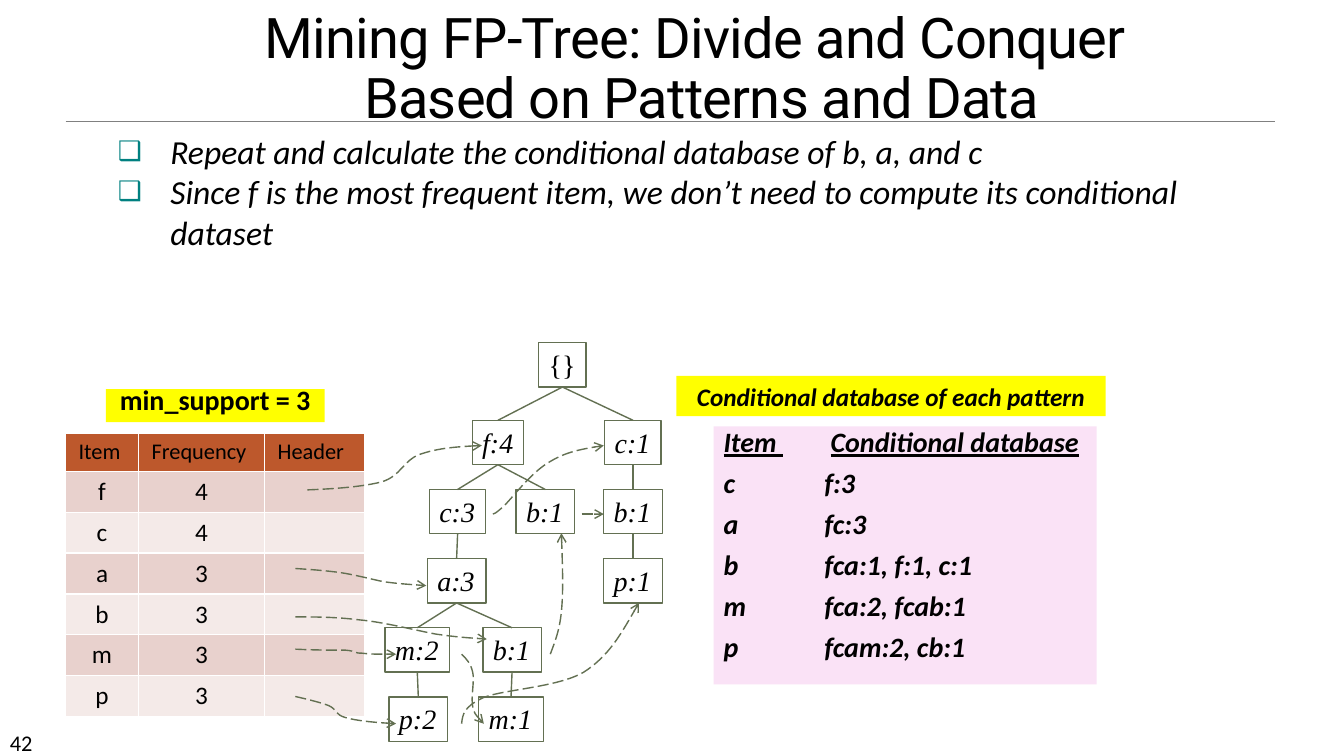
"""Builds the slide on mining an FP-tree by divide and conquer."""
from lxml.etree import SubElement
from pptx import Presentation
from pptx.dml.color import RGBColor
from pptx.enum.dml import MSO_LINE
from pptx.enum.shapes import MSO_CONNECTOR, MSO_SHAPE
from pptx.enum.text import MSO_ANCHOR, MSO_AUTO_SIZE, PP_ALIGN
from pptx.oxml.ns import qn
from pptx.util import Inches, Pt

COLORS = {"text": "000000", "rule": "808080", "bullet": "008080", "tree": "637052",
          "yellow": "FFFF00", "pink": "FAE2F6", "head": "BD582C",
          "odd": "E8D1CD", "even": "F4EAE8", "border": "FFFFFF"}

prs = Presentation()
prs.slide_height = Inches(7.5)
prs.slide_width = prs.slide_height * 16 // 9
grid = prs.slide_height // 75
s = prs.slides.add_slide(prs.slide_layouts[1])


def style(tf, size, font="Calibri", bold=False, italic=False, align=PP_ALIGN.LEFT):
    """Format every run of a text frame."""
    for p in tf.paragraphs:
        p.alignment = align
        for r in p.runs:
            r.font.size, r.font.name = Pt(size), font
            r.font.bold, r.font.italic = bold, italic
            r.font.color.rgb = RGBColor.from_string(COLORS["text"])


def box(at, text, fill=None):
    """Add a rectangle placed in grid units."""
    sp = s.shapes.add_shape(MSO_SHAPE.RECTANGLE, *[int(v * grid) for v in at])
    sp.shadow.inherit = False
    sp.line.fill.background()
    sp.fill.background()
    if fill:
        sp.fill.solid()
        sp.fill.fore_color.rgb = RGBColor.from_string(COLORS[fill])
    sp.text_frame.text = text
    sp.text_frame.vertical_anchor = MSO_ANCHOR.TOP
    return sp


title, body = s.placeholders
places = [(title, (15.2, -0.9, 108.8, 14.4)), (body, (6.5, 12.5, 116.7, 21.5))]
for sp, at in places:
    sp.left, sp.top, sp.width, sp.height = [int(v * grid) for v in at]

tf = title.text_frame
tf.text = "Mining FP-Tree: Divide and Conquer \vBased on Patterns and Data"
tf.auto_size, tf.vertical_anchor = MSO_AUTO_SIZE.NONE, MSO_ANCHOR.BOTTOM
style(tf, 40, "Roboto", align=PP_ALIGN.CENTER)
tf.paragraphs[0].line_spacing = 0.9
for r in tf.paragraphs[0].runs:
    r.font._element.set("spc", "-50")

tf = body.text_frame
tf.text = ("Repeat and calculate the conditional database of b, a, and c\n"
           "Since f is the most frequent item, we don’t need to compute its conditional dataset")
tf.auto_size = MSO_AUTO_SIZE.NONE
for p in tf.paragraphs:
    p.level = 1
    pPr = p._p.get_or_add_pPr()
    pPr.set("marL", str(int(9.4 * grid)))
    pPr.set("indent", str(int(-5.2 * grid)))
    SubElement(SubElement(pPr, qn("a:buClr")), qn("a:srgbClr")).set("val", COLORS["bullet"])
    SubElement(pPr, qn("a:buSzPct")).set("val", "80000")
    SubElement(pPr, qn("a:buChar")).set("char", "❑")
    p.space_before = Pt(0)
style(tf, 24, italic=True)

number = s.shapes.add_textbox(0, int(71.8 * grid), int(11.7 * grid), 3 * grid)
number.text_frame.word_wrap = True
number.text_frame.text = "42"
style(number.text_frame, 16)

rows = [("Item", "Frequency", "Header"), ("f", "4", ""), ("c", "4", ""), ("a", "3", ""),
        ("b", "3", ""), ("m", "3", ""), ("p", "3", "")]
table = s.shapes.add_table(len(rows), 3, int(6.5 * grid), 43 * grid,
                           int(29.7 * grid), int(28.1 * grid)).table
table.first_row = table.horz_banding = False
for col, width in zip(table.columns, (7.25, 12.5, 9.9)):
    col.width = int(width * grid)
for i, row in enumerate(rows):
    table.rows[i].height = int((4.06 if i else 3.75) * grid)
    for j, text in enumerate(row):
        cell = table.cell(i, j)
        cell.text = text
        cell.margin_left = cell.margin_right = int(1.3 * grid)
        tcPr = cell._tc.get_or_add_tcPr()
        for side in ("lnL", "lnR", "lnT", "lnB"):
            ln = SubElement(tcPr, qn("a:" + side), w=str(Pt(1)))
            SubElement(SubElement(ln, qn("a:solidFill")), qn("a:srgbClr")).set("val", COLORS["border"])
        cell.fill.solid()
        fill = "head" if i == 0 else "odd" if i % 2 else "even"
        cell.fill.fore_color.rgb = RGBColor.from_string(COLORS[fill])
        style(cell.text_frame, 18 if i else 16, align=PP_ALIGN.CENTER if i else PP_ALIGN.LEFT)

patterns = box((70.8, 42.3, 38, 25.6), "Item \nc\tf:3\na\tfc:3\nb\tfca:1, f:1, c:1\n"
               "m\tfca:2, fcab:1\np\tfcam:2, cb:1", "pink")
p = patterns.text_frame.paragraphs[0]
p.runs[0].font.underline = True
for text, underline in (("\t ", False), ("Conditional database", True)):
    r = p.add_run()
    r.text, r.font.underline = text, underline
for i, p in enumerate(patterns.text_frame.paragraphs):
    tabs = SubElement(p._p.get_or_add_pPr(), qn("a:tabLst"))
    SubElement(tabs, qn("a:tab"), pos=str(10 * grid), algn="l")
    p.line_spacing = 0.8
    p.space_before = Pt(10 if i else 0)
style(patterns.text_frame, 20, bold=True, italic=True)

heading = box((67.1, 37.3, 42.6, 4), "Conditional database of each pattern", "yellow")
style(heading.text_frame, 18, bold=True, italic=True, align=PP_ALIGN.CENTER)
support = box((10.5, 38.6, 21.7, 3.3), "min_support = 3", "yellow")
support.text_frame.paragraphs[0].line_spacing = 0.6
style(support.text_frame, 20, bold=True, align=PP_ALIGN.CENTER)

widths = {"{": 4.7, "f": 5.1, "c": 5.6, "a": 5.8, "b": 5.8, "p": 5.8, "m": 6.4}
tree = {"root": ("{}", 55.8, 0), "f": ("f:4", 49.4, 1), "c right": ("c:1", 62.8, 1),
        "c": ("c:3", 45.4, 2), "b": ("b:1", 54.1, 2), "b right": ("b:1", 62.8, 2),
        "a": ("a:3", 45.3, 3), "p right": ("p:1", 62.8, 3), "m": ("m:2", 41.4, 4),
        "b low": ("b:1", 50.8, 4), "p": ("p:2", 41.5, 5), "m low": ("m:1", 50.7, 5)}
nodes = {}
for name, (text, center, level) in tree.items():
    width = widths[text[0]]
    top = 41.7 + 6.86 * (level - 1) if level else 34
    sp = nodes[name] = box((center - width / 2, top, width, 4.4), text)
    sp.line.color.rgb = RGBColor.from_string(COLORS["tree"])
    sp.line.width = Pt(1)
    sp.text_frame.word_wrap = False
    style(sp.text_frame, 20, "Times New Roman", italic=level > 0)

rule = s.shapes.add_connector(MSO_CONNECTOR.STRAIGHT, int(6.5 * grid), 12 * grid,
                              int(126.5 * grid), 12 * grid)
lines = [(rule, "rule", 0.5, False)]
edges = [("root", "f"), ("root", "c right"), ("f", "c"), ("f", "b"), ("c right", "b right"),
         ("b right", "p right"), ("c", "a"), ("a", "m"), ("a", "b low"), ("m", "p"),
         ("b low", "m low")]
for parent, child in edges:
    edge = s.shapes.add_connector(MSO_CONNECTOR.STRAIGHT, 0, 0, 0, 0)
    edge.begin_connect(nodes[parent], 2)
    edge.end_connect(nodes[child], 0)
    lines.append((edge, "tree", 1, False))

link = s.shapes.add_connector(MSO_CONNECTOR.STRAIGHT, int(57.7 * grid), 51 * grid,
                              int(59.9 * grid), 51 * grid)
lines.append((link, "tree", 1, True))

curves = [
    [(30.5, 48.6), (33.2, 48.5), (36, 48.3), (37.9, 47.8), (39.8, 47.2), (40, 45.7),
     (41.6, 45.1), (43.3, 44.5), (45.5, 44.3), (47.8, 44.2)],
    [(48.9, 51), (49, 51), (49.1, 51), (50, 50.2), (50.9, 49.3), (52.7, 46.9),
     (54.4, 45.9), (56, 44.9), (57.9, 44.5), (59.9, 44.2)],
    [(29.3, 56.4), (30.8, 56.5), (32.2, 56.6), (33.7, 56.8), (35.1, 57), (36.6, 57.4),
     (38, 57.7), (39.4, 57.9), (40.9, 58), (42.3, 58.1)],
    [(29.3, 61.2), (31.3, 61.2), (33.3, 61.2), (35.7, 61.5), (38, 61.7), (41.1, 62.5),
     (43.2, 62.9), (45.3, 63.2), (46.8, 63.3), (48.3, 63.4)],
    [(54.6, 64.9), (55, 63.8), (55.5, 62.7), (55.7, 60.7), (55.9, 58.7), (55.8, 55.8),
     (55.7, 52.9)],
    [(29.3, 64.4), (31.3, 64.5), (33.2, 64.5), (34.3, 64.5), (35.4, 64.6), (35.1, 64.8),
     (35.9, 64.8), (36.8, 64.9), (38, 64.9), (39.3, 64.9)],
    [(45.8, 64.9), (46.3, 65.4), (46.7, 65.8), (46.9, 66.7), (47.1, 67.5), (46.7, 69.2),
     (46.9, 70.1), (47.1, 70.9), (47.6, 71.4), (48, 71.8)],
    [(29.3, 69.1), (30.6, 69.4), (31.8, 69.7), (32.6, 70), (33.5, 70.4), (33.2, 70.9),
     (34.3, 71.2), (35.4, 71.5), (37.3, 71.7), (39.3, 71.8)],
    [(45.8, 71.8), (45.9, 70.9), (46, 70.1), (48, 69.2), (50, 68.4), (55.3, 68.2),
     (57.9, 66.7), (60.4, 65.1), (61.9, 62.4), (63.4, 59.8)]]
for curve in curves:
    points = [(int(x * grid), int(y * grid)) for x, y in curve]
    builder = s.shapes.build_freeform(*points[0])
    builder.add_line_segments(points[1:], close=False)
    sp = builder.convert_to_shape()
    sp.fill.background()
    outline = sp._element.spPr.find(".//" + qn("a:path"))
    segments = outline.findall(qn("a:lnTo"))
    for k in range(0, len(segments), 3):
        bezier = SubElement(outline, qn("a:cubicBezTo"))
        for segment in segments[k:k + 3]:
            bezier.append(segment[0])
            outline.remove(segment)
    lines.append((sp, "tree", 1, True))

for sp, color, width, dashed in lines:
    sp.line.color.rgb = RGBColor.from_string(COLORS[color])
    sp.line.width = Pt(width)
    spPr = sp._element.spPr
    if dashed:
        sp.line.dash_style = MSO_LINE.LONG_DASH
        SubElement(spPr.find(qn("a:ln")), qn("a:tailEnd")).set("type", "arrow")
    SubElement(spPr, qn("a:effectLst"))

prs.save("out.pptx")
